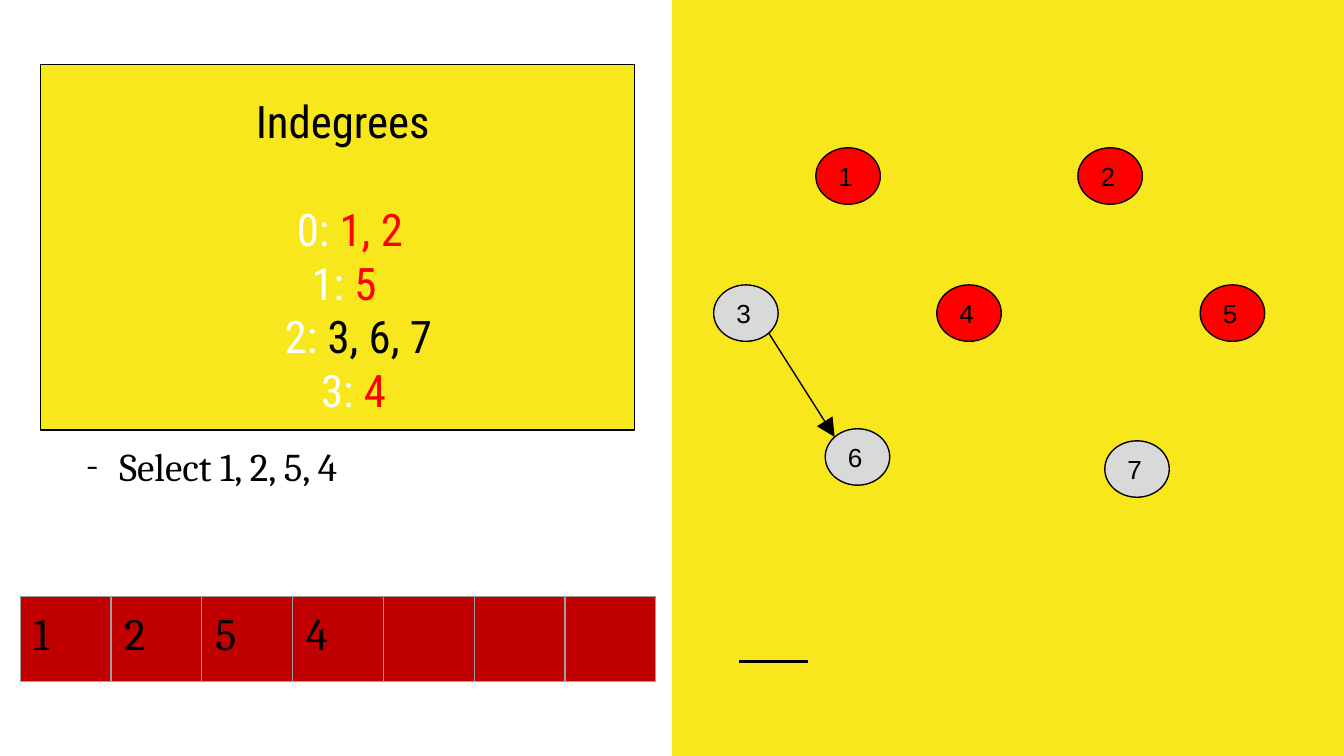
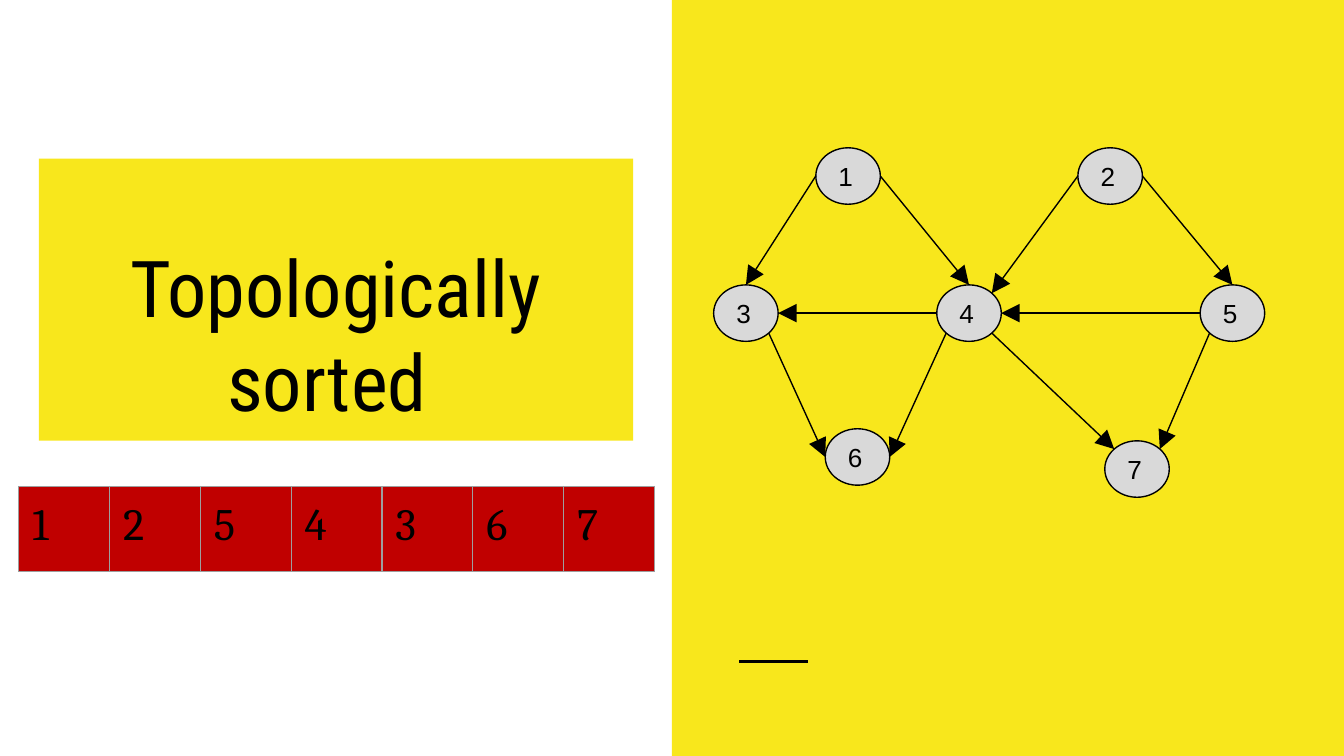
from dataclasses import dataclass
from enum import IntEnum
from math import cos, radians, sin

from lxml.etree import SubElement
from pptx import Presentation
from pptx.dml.color import RGBColor
from pptx.enum.shapes import MSO_CONNECTOR, MSO_SHAPE
from pptx.enum.text import MSO_ANCHOR, PP_ALIGN
from pptx.oxml.ns import qn
from pptx.util import Inches, Pt

COLORS = {
    "yellow": "F8E71C",
    "black": "000000",
    "white": "FFFFFF",
    "red": "FF0000",
    "dark_red": "C00000",
    "gray": "D9D9D9",
    "border": "9E9E9E",
}
TITLE_FONT, BODY_FONT, NODE_FONT = "Roboto Condensed", "Cambria", "Arial"
SLIDE_W = 10
SLIDE_H = SLIDE_W * 9 / 16
NODE_W, NODE_H = 0.48, 0.42
ORDER_W, ORDER_H, CELL_COUNT = 4.73, 0.63, 7
INSET = Inches(0.1)


class Site(IntEnum):
    TOP = 0
    TOP_LEFT = 1
    LEFT = 2
    BOTTOM_LEFT = 3
    BOTTOM = 4
    BOTTOM_RIGHT = 5
    RIGHT = 6
    TOP_RIGHT = 7


@dataclass(frozen=True)
class Node:
    label: str
    left: float
    top: float

    def point(self, site: Site) -> tuple[float, float]:
        angle = radians(90 + 45 * site)
        return (
            self.left + NODE_W / 2 * (1 + cos(angle)),
            self.top + NODE_H / 2 * (1 - sin(angle)),
        )


@dataclass(frozen=True)
class Edge:
    source: str
    source_site: Site
    target: str
    target_site: Site


@dataclass(frozen=True)
class Run:
    text: str
    color: str = "black"


@dataclass(frozen=True)
class Line:
    runs: tuple[Run, ...]
    indent: float = 0
    centered: bool = False
    space_before: float = 0


NODES = [
    Node("1", 6.07, 1.1),
    Node("2", 8.02, 1.1),
    Node("4", 6.97, 2.12),
    Node("5", 8.93, 2.12),
    Node("7", 8.22, 3.28),
    Node("6", 6.14, 3.19),
    Node("3", 5.31, 2.12),
]
REMAINING_EDGES = [Edge("3", Site.BOTTOM_RIGHT, "6", Site.TOP_LEFT)]
ALL_EDGES = [
    Edge("1", Site.LEFT, "3", Site.TOP),
    Edge("1", Site.RIGHT, "4", Site.TOP),
    Edge("4", Site.LEFT, "3", Site.RIGHT),
    Edge("2", Site.LEFT, "4", Site.TOP_RIGHT),
    Edge("3", Site.BOTTOM_RIGHT, "6", Site.LEFT),
    Edge("5", Site.LEFT, "4", Site.RIGHT),
    Edge("2", Site.RIGHT, "5", Site.TOP),
    Edge("5", Site.BOTTOM_LEFT, "7", Site.TOP_RIGHT),
    Edge("4", Site.BOTTOM_RIGHT, "7", Site.TOP_LEFT),
    Edge("4", Site.BOTTOM_LEFT, "6", Site.RIGHT),
]
INDEGREES = [
    Line((Run("Indegrees"),), indent=0.08, centered=True),
    Line((Run("0: ", "white"), Run("1, 2", "red")), 1.81, space_before=28.8),
    Line((Run("1: ", "white"), Run("5", "red")), 1.92),
    Line((Run("2: ", "white"), Run("3, 6, 7")), 1.72),
    Line((Run("3: ", "white"), Run("4", "red")), 1.99),
]
SORTED_TITLE = [Line((Run("Topologically sorted "),), centered=True)]


def rgb(name: str) -> RGBColor:
    return RGBColor.from_string(COLORS[name])


def add_run(p, run: Run, font: str, size: float) -> None:
    r = p.add_run()
    r.text = run.text
    r.font.name = font
    r.font.size = Pt(size)
    r.font.color.rgb = rgb(run.color)


def set_frame(tf, anchor: MSO_ANCHOR) -> None:
    tf.word_wrap = True
    tf.vertical_anchor = anchor
    tf.margin_left = tf.margin_right = tf.margin_top = tf.margin_bottom = INSET


def set_indent(p, left: float, first: float = 0) -> None:
    pPr = p._p.get_or_add_pPr()
    pPr.set("marL", str(Inches(left)))
    pPr.set("indent", str(Inches(first)))


def add_box(s, kind: MSO_SHAPE, left: float, top: float, width: float,
            height: float, fill: str, outline: bool = False):
    sp = s.shapes.add_shape(kind, Inches(left), Inches(top), Inches(width), Inches(height))
    sp.shadow.inherit = False
    sp.fill.solid()
    sp.fill.fore_color.rgb = rgb(fill)
    if outline:
        sp.line.color.rgb = rgb("black")
        sp.line.width = Pt(0.75)
    else:
        sp.line.fill.background()
    return sp


def add_line(s, start: tuple[float, float], end: tuple[float, float], width: float):
    cxn = s.shapes.add_connector(
        MSO_CONNECTOR.STRAIGHT, *(Inches(v) for v in (*start, *end)))
    cxn.line.color.rgb = rgb("black")
    cxn.line.width = Pt(width)
    SubElement(cxn._element.spPr, qn("a:effectLst"))
    return cxn


def add_backdrop(s) -> None:
    half = SLIDE_W / 2
    add_box(s, MSO_SHAPE.RECTANGLE, half, 0, half, SLIDE_H, "yellow")
    add_line(s, (5.5, 4.92), (6.01, 4.92), 1.5)


def add_title(s, left: float, top: float, height: float, lines: list[Line],
              size: float, outline: bool = False) -> None:
    sp = add_box(s, MSO_SHAPE.RECTANGLE, left, top, 4.42, height, "yellow", outline)
    tf = sp.text_frame
    set_frame(tf, MSO_ANCHOR.BOTTOM)
    for i, line in enumerate(lines):
        p = tf.add_paragraph() if i else tf.paragraphs[0]
        p.alignment = PP_ALIGN.CENTER if line.centered else PP_ALIGN.LEFT
        p.space_before = Pt(line.space_before)
        set_indent(p, line.indent)
        for run in line.runs:
            add_run(p, run, TITLE_FONT, size)


def add_selection(s, text: str) -> None:
    tf = s.shapes.add_textbox(Inches(0.29), Inches(3.19), Inches(4.42), Inches(1.47)).text_frame
    set_frame(tf, MSO_ANCHOR.TOP)
    p = tf.paragraphs[0]
    set_indent(p, 0.5, -0.25)
    pPr = p._p.get_or_add_pPr()
    color = SubElement(pPr, qn("a:buClr"))
    SubElement(color, qn("a:srgbClr"), val=COLORS["black"])
    SubElement(pPr, qn("a:buFont"), typeface=BODY_FONT)
    SubElement(pPr, qn("a:buChar"), char="-")
    add_run(p, Run(text), BODY_FONT, 21)


def add_graph(s, edges: list[Edge], selected: str = "") -> None:
    nodes = {node.label: node for node in NODES}
    ids: dict[str, int] = {}
    for node in NODES:
        fill = "red" if node.label in selected else "gray"
        sp = add_box(s, MSO_SHAPE.OVAL, node.left, node.top, NODE_W, NODE_H, fill, True)
        set_frame(sp.text_frame, MSO_ANCHOR.MIDDLE)
        p = sp.text_frame.paragraphs[0]
        p.alignment = PP_ALIGN.LEFT
        add_run(p, Run(node.label), NODE_FONT, 14)
        ids[node.label] = sp.shape_id
    for edge in edges:
        cxn = add_line(s, nodes[edge.source].point(edge.source_site),
                       nodes[edge.target].point(edge.target_site), 0.75)
        SubElement(cxn.line._get_or_add_ln(), qn("a:tailEnd"),
                   type="triangle", w="lg", len="lg")
        links = cxn._element.nvCxnSpPr.cNvCxnSpPr
        for tag, label, site in (("a:stCxn", edge.source, edge.source_site),
                                 ("a:endCxn", edge.target, edge.target_site)):
            SubElement(links, qn(tag), id=str(ids[label]), idx=str(int(site)))


def set_borders(cell) -> None:
    tcPr = cell._tc.get_or_add_tcPr()
    for i, side in enumerate(("a:lnL", "a:lnR", "a:lnT", "a:lnB")):
        ln = tcPr.makeelement(qn(side), {"w": str(Pt(0.75))})
        fill = SubElement(ln, qn("a:solidFill"))
        SubElement(fill, qn("a:srgbClr"), val=COLORS["border"])
        tcPr.insert(i, ln)


def add_order(s, left: float, top: float, order: str) -> None:
    table = s.shapes.add_table(
        1, CELL_COUNT, Inches(left), Inches(top),
        Inches(ORDER_W), Inches(ORDER_H)).table
    table.first_row = table.horz_banding = False
    for i, cell in enumerate(table.rows[0].cells):
        cell.fill.solid()
        cell.fill.fore_color.rgb = rgb("dark_red")
        cell.margin_left = cell.margin_right = INSET
        cell.margin_top = cell.margin_bottom = INSET
        set_borders(cell)
        if i < len(order):
            add_run(cell.text_frame.paragraphs[0], Run(order[i]), BODY_FONT, 24)


def add_slide(prs):
    s = prs.slides.add_slide(prs.slide_layouts[6])
    add_backdrop(s)
    return s


def main() -> None:
    prs = Presentation()
    prs.slide_width, prs.slide_height = Inches(SLIDE_W), Inches(SLIDE_H)

    s = add_slide(prs)
    add_title(s, 0.3, 0.48, 2.72, INDEGREES, 24, outline=True)
    add_selection(s, "Select 1, 2, 5, 4")
    add_graph(s, REMAINING_EDGES, selected="1254")
    add_order(s, 0.15, 4.44, "1254")

    s = add_slide(prs)
    add_title(s, 0.29, 1.18, 2.1, SORTED_TITLE, 42)
    add_graph(s, ALL_EDGES)
    add_order(s, 0.14, 3.62, "1254367")

    prs.save("out.pptx")


if __name__ == "__main__":
    main()
